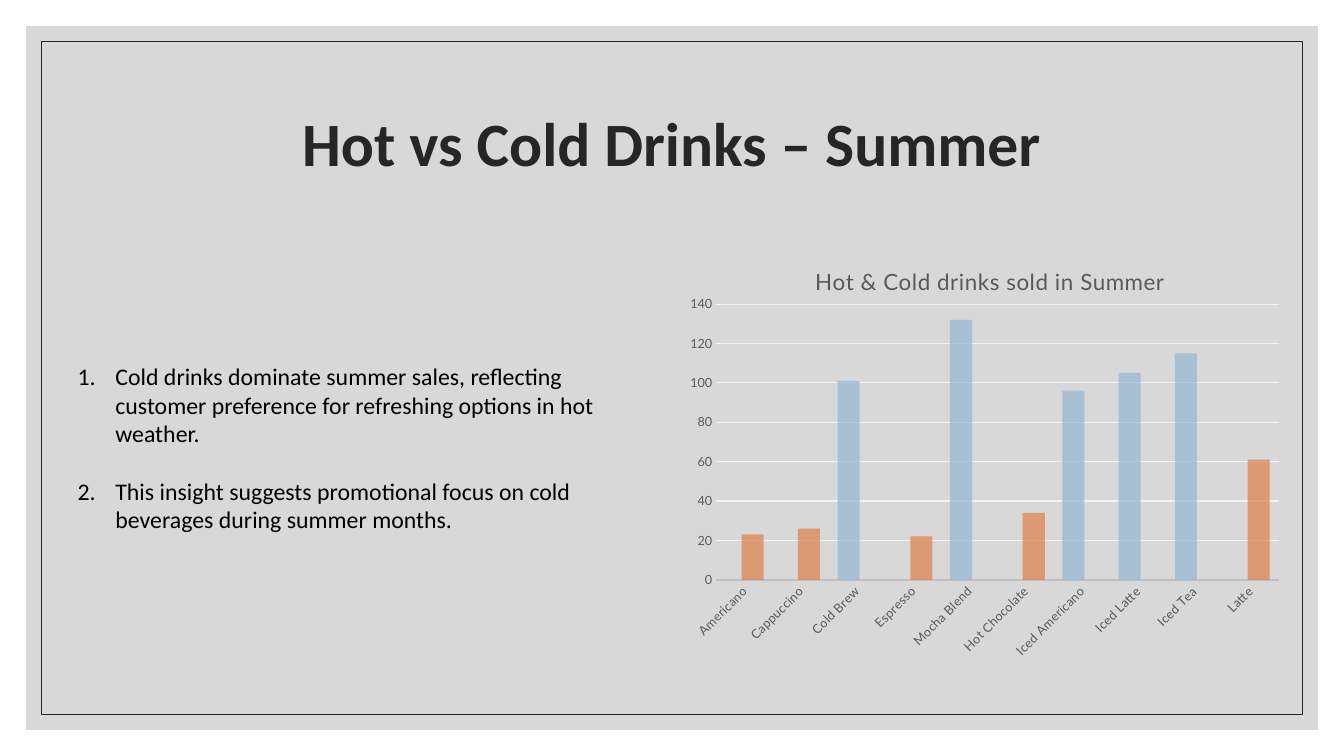
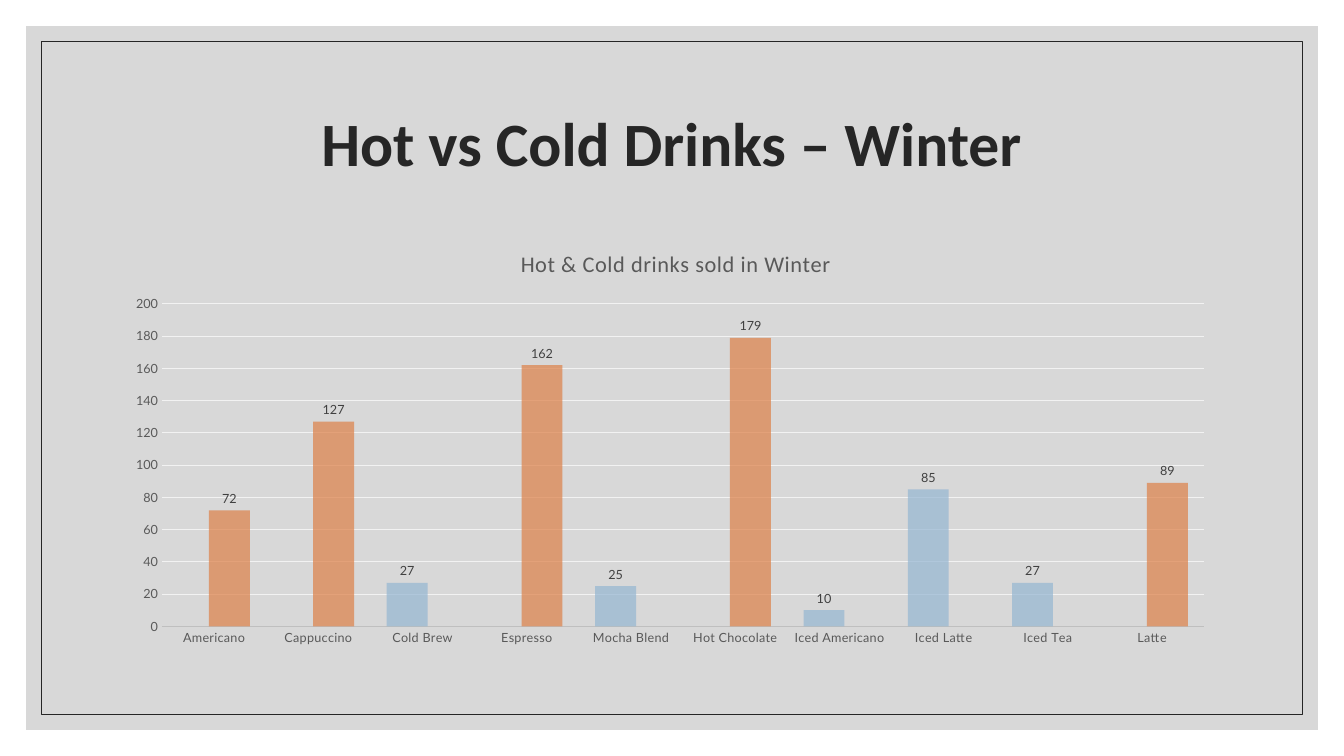
from pptx import Presentation
from pptx.chart.data import CategoryChartData
from pptx.dml.color import RGBColor
from pptx.enum.chart import XL_CHART_TYPE, XL_LABEL_POSITION, XL_TICK_MARK
from pptx.enum.shapes import MSO_SHAPE
from pptx.enum.text import MSO_ANCHOR, MSO_AUTO_SIZE, PP_ALIGN
from pptx.oxml import parse_xml
from pptx.oxml.ns import nsdecls, qn
from pptx.util import Pt

COLORS = {
    "panel": "BFBFBF", "frame": "262626", "title": "262626", "body": "000000",
    "axis_text": "595959", "axis_line": "BFBFBF", "grid": "F2F2F2",
    "label": "404040", "cold": "94B6D2", "hot": "DD8047",
}
SLIDE_SIZE = (960, 540)
TITLE_BOX = (84, 50.4, 792, 108)
DRINKS = ["Americano", "Cappuccino", "Cold Brew", "Espresso", "Mocha Blend",
          "Hot Chocolate", "Iced Americano", "Iced Latte", "Iced Tea", "Latte"]
SUMMER = {
    "title": "Hot & Cold drinks sold in Summer", "title_font": "Lato",
    "title_at": (0.22, 0.03), "plot_at": (0.07, 0.13, 0.89, 0.65),
    "cold": (None, None, 101, None, 132, None, 96, 105, 115, None),
    "hot": (23, 26, None, 22, None, 34, None, None, None, 61),
    "maximum": 140, "rotation": -45, "labels": False,
}
WINTER = {
    "title": "Hot & Cold drinks sold in Winter", "title_font": "Calibri",
    "title_at": (0.36, 0.03), "plot_at": (0.04, 0.17, 0.94, 0.76),
    "cold": (None, None, 27, None, 25, None, 10, 85, 27, None),
    "hot": (72, 127, None, 162, None, 179, None, None, None, 89),
    "maximum": 200, "rotation": 0, "labels": True,
}
FINDINGS = [
    "Cold drinks dominate summer sales, reflecting customer preference for "
    "refreshing options in hot weather.",
    "This insight suggests promotional focus on cold beverages during summer months.",
]


def color(name):
    return RGBColor.from_string(COLORS[name])


def set_format(target, values):
    for name, value in values.items():
        setattr(target, name, value)


def set_font(font, name, size, color_name, bold=False):
    set_format(font, {"name": name, "size": Pt(size), "bold": bold})
    font.color.rgb = color(color_name)


def place(shape, box):
    set_format(shape, dict(zip(("left", "top", "width", "height"), map(Pt, box))))


def set_alpha(color_elements, percent):
    for element in color_elements:
        element.append(parse_xml(f'<a:alpha {nsdecls("a")} val="{percent * 1000}"/>'))


def set_layout(parent, index, position, inner=False):
    for old in parent.findall(qn("c:layout")):
        parent.remove(old)
    target = '<c:layoutTarget val="inner"/>' if inner else ""
    keys = ("x", "y", "w", "h")[:len(position)]
    modes = "".join(f'<c:{key}Mode val="edge"/>' for key in keys[:2])
    values = "".join(f'<c:{key} val="{value}"/>' for key, value in zip(keys, position))
    parent.insert(index, parse_xml(
        f'<c:layout {nsdecls("c")}><c:manualLayout>{target}{modes}{values}'
        '</c:manualLayout></c:layout>'))


def add_master_frame(presentation, slide):
    master_tree = presentation.slide_master.shapes.element
    panel, frame = (
        slide.shapes.add_shape(
            MSO_SHAPE.RECTANGLE, Pt(inset), Pt(inset),
            Pt(SLIDE_SIZE[0] - 2 * inset), Pt(SLIDE_SIZE[1] - 2 * inset))
        for inset in (18.7, 29.4))
    panel.fill.solid()
    panel.fill.fore_color.rgb = color("panel")
    set_alpha(panel.element.xpath("./p:spPr/a:solidFill/a:srgbClr"), 60)
    panel.line.fill.background()
    frame.fill.background()
    frame.line.color.rgb = color("frame")
    frame.line.width = Pt(0.5)
    for order, shape in enumerate((panel, frame)):
        shape.shadow.inherit = False
        shape.element.nvSpPr.cNvPr.set("id", str(101 + order))
        master_tree.insert(2 + order, shape.element)


def add_title(slide, text):
    title = slide.shapes.title
    place(title, TITLE_BOX)
    title.text_frame.text = text
    set_format(title.text_frame, {
        "vertical_anchor": MSO_ANCHOR.MIDDLE, "auto_size": MSO_AUTO_SIZE.NONE,
        "word_wrap": True})
    paragraph = title.text_frame.paragraphs[0]
    set_format(paragraph, {"alignment": PP_ALIGN.CENTER, "line_spacing": 0.9})
    set_font(paragraph.runs[0].font, "Calibri", 44, "title", True)


def add_numbered_list(slide, items, box):
    body = slide.placeholders[1]
    place(body, box)
    body.text_frame.text = "\n".join(items)
    set_format(body.text_frame, {
        "vertical_anchor": MSO_ANCHOR.TOP, "auto_size": MSO_AUTO_SIZE.NONE,
        "word_wrap": True})
    for index, paragraph in enumerate(body.text_frame.paragraphs):
        set_format(paragraph, {
            "alignment": PP_ALIGN.LEFT, "line_spacing": 1.0,
            "space_before": Pt(20.7 if index else 0), "space_after": Pt(0)})
        set_font(paragraph.runs[0].font, "Calibri", 17, "body")
    for properties in body.element.xpath(".//a:pPr"):
        properties.set("marL", str(Pt(27)))
        properties.set("indent", str(-Pt(27)))
        for bullet in ('buFont typeface="+mj-lt"', 'buAutoNum type="arabicPeriod"'):
            name, attribute = bullet.split(" ")
            properties.append(parse_xml(f'<a:{name} {nsdecls("a")} {attribute}/>'))


def format_axes(chart, season):
    category_axis, value_axis = chart.category_axis, chart.value_axis
    for axis in (category_axis, value_axis):
        set_format(axis, {"major_tick_mark": XL_TICK_MARK.NONE,
                          "minor_tick_mark": XL_TICK_MARK.NONE})
        set_font(axis.tick_labels.font, "Lato", 9, "axis_text")
    category_axis.format.line.color.rgb = color("axis_line")
    category_axis.format.line.width = Pt(1.25)
    set_format(value_axis, {
        "minimum_scale": 0, "maximum_scale": season["maximum"], "major_unit": 20,
        "has_major_gridlines": True})
    value_axis.format.line.fill.background()
    grid_line = value_axis.major_gridlines.format.line
    grid_line.color.rgb = color("grid")
    grid_line.width = Pt(0.75)
    for element in chart.element.xpath(".//c:catAx/c:txPr/a:bodyPr"):
        element.set("rot", str(season["rotation"] * 60000))
        element.set("vert", "horz")
    for element in chart.element.xpath(".//c:catAx/c:txPr//a:defRPr"):
        element.set("spc", "20")


def format_series(chart, season):
    plot = chart.plots[0]
    set_format(plot, {"gap_width": 80, "overlap": 25, "vary_by_categories": False})
    for series, name in zip(plot.series, ("cold", "hot")):
        series.format.fill.solid()
        series.format.fill.fore_color.rgb = color(name)
        series.invert_if_negative = False
        if season["labels"]:
            set_format(series.data_labels, {
                "show_value": True, "position": XL_LABEL_POSITION.OUTSIDE_END})
            set_font(series.data_labels.font, "Lato", 9, "label")
    set_alpha(chart.element.xpath(".//c:ser/c:spPr/a:solidFill/a:srgbClr"), 70)


def add_drinks_chart(slide, season, box):
    data = CategoryChartData()
    data.categories = DRINKS
    data.add_series("Series 1", season["cold"])
    data.add_series("Series 2", season["hot"])
    chart = slide.shapes.add_chart(
        XL_CHART_TYPE.COLUMN_CLUSTERED, *map(Pt, box), data).chart
    set_font(chart.font, "Lato", 10, "body")
    set_format(chart, {"has_legend": False, "has_title": True})
    chart.chart_title.include_in_layout = False
    title_frame = chart.chart_title.text_frame
    title_frame.text = season["title"]
    set_font(title_frame.paragraphs[0].runs[0].font, season["title_font"], 16, "axis_text")
    for element in chart.element.xpath(".//c:title//a:rPr"):
        element.set("spc", "50")
    format_axes(chart, season)
    format_series(chart, season)
    set_layout(chart.element.xpath("./c:chart/c:title")[0], 1, season["title_at"])
    set_layout(chart.element.xpath("./c:chart/c:plotArea")[0], 0, season["plot_at"], True)


def build_summer_slide(slide):
    add_title(slide, "Hot vs Cold Drinks – Summer")
    add_drinks_chart(slide, SUMMER, (480, 177.8, 451.4, 303.1))
    add_numbered_list(slide, FINDINGS, (48.2, 254.9, 396, 151.2))


def build_winter_slide(slide):
    add_title(slide, "Hot vs Cold Drinks – Winter")
    add_drinks_chart(slide, WINTER, (84, 165.6, 792, 303.1))


def main():
    presentation = Presentation()
    set_format(presentation, dict(zip(("slide_width", "slide_height"), map(Pt, SLIDE_SIZE))))
    layouts = presentation.slide_layouts
    summer_slide = presentation.slides.add_slide(layouts.get_by_name("Title and Content"))
    winter_slide = presentation.slides.add_slide(layouts.get_by_name("Title Only"))
    add_master_frame(presentation, summer_slide)
    build_summer_slide(summer_slide)
    build_winter_slide(winter_slide)
    presentation.save("out.pptx")


if __name__ == "__main__":
    main()
